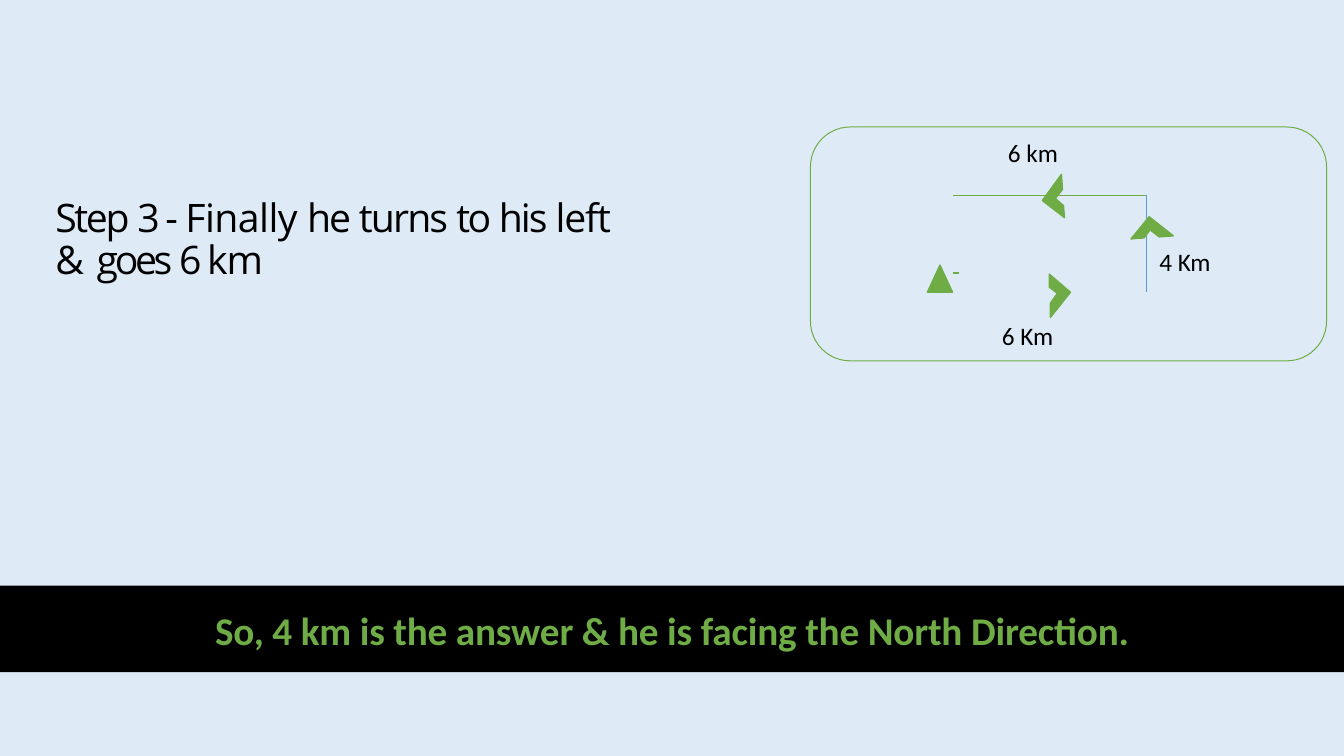
from dataclasses import dataclass

from lxml.etree import SubElement
from pptx import Presentation
from pptx.dml.color import RGBColor
from pptx.enum.shapes import MSO_CONNECTOR as Line, MSO_SHAPE as Preset
from pptx.enum.text import MSO_ANCHOR as Anchor, PP_ALIGN as Align
from pptx.oxml.ns import qn
from pptx.shapes.autoshape import Shape
from pptx.slide import Slide
from pptx.util import Inches, Pt

COLS, ROWS = 133.33, 75


@dataclass(frozen=True)
class Theme:
    sky: RGBColor = RGBColor(0xDE, 0xEB, 0xF7)
    black: RGBColor = RGBColor(0, 0, 0)
    green: RGBColor = RGBColor(0x6F, 0xAC, 0x46)
    blue: RGBColor = RGBColor(0x5B, 0x9B, 0xD5)
    step_font: str = "Open Sans"
    body_font: str = "Calibri"
    large: int = 28
    small: int = 18


THEME = Theme()


@dataclass(frozen=True)
class Box:
    col: float
    row: float
    cols: float
    rows: float


@dataclass(frozen=True)
class Word:
    text: str
    tracking: float = 0


@dataclass(frozen=True)
class Label:
    text: str
    box: Box
    align: Align = Align.LEFT


@dataclass(frozen=True)
class Path:
    start: tuple[float, float]
    end: tuple[float, float]
    color: RGBColor
    width: float = 0.48


@dataclass(frozen=True)
class Chevron:
    points: tuple[tuple[float, float], ...]


STEP = (
    Word("Step ", -1.7), Word("3 ", -3.2), Word("- ", -1.9),
    Word("Finally ", -0.4), Word("he ", -1.6), Word("turns ", -1.3),
    Word("to ", -1.9), Word("his ", -1.4), Word("left ", -0.9),
    Word("& ", 0.9), Word("goes ", -2.4), Word("6 ", -3.2), Word("km", -0.8),
)
ANSWER = (Word("So, 4 km is the answer & he is facing the North Direction.", -0.1),)
LABELS = (
    Label("6 km", Box(100, 13.5, 5.4, 3.3)),
    Label("4 Km", Box(94.4, 24.3, 25.7, 3.3), Align.RIGHT),
    Label("6 Km", Box(99.4, 31.7, 5.4, 3.3)),
)
PATHS = (
    Path((113.7, 29), (113.7, 19.3), THEME.blue),
    Path((113.7, 19.4), (94.5, 19.4), THEME.green),
    Path((94.5, 27.1), (95.1, 27.1), THEME.green, 1),
)
CHEVRONS = (
    Chevron(((104.1, 27.2), (104.1, 28.5), (104.9, 29.1), (104.2, 30.1),
             (104.2, 31.5), (106.2, 29))),
    Chevron(((105.3, 17.3), (103.4, 19.9), (105.6, 21.6), (105.5, 20.4),
             (104.7, 19.7), (105.4, 18.8))),
    Chevron(((114, 21.5), (112.2, 23.7), (113.5, 23.6), (114.1, 22.8),
             (115, 23.5), (116.4, 23.4))),
)


def unit(n: float) -> int:
    return Inches(n / 10)


def place(box: Box) -> tuple[int, ...]:
    return tuple(unit(n) for n in (box.col, box.row, box.cols, box.rows))


def paint(sp: Shape, fill: RGBColor | None, line: RGBColor | None,
          width: float = 1) -> None:
    sp.shadow.inherit = False
    if fill is None:
        sp.fill.background()
    else:
        sp.fill.solid()
        sp.fill.fore_color.rgb = fill
    if line is None:
        sp.line.fill.background()
    else:
        sp.line.color.rgb = line
        sp.line.width = Pt(width)


def write(sp: Shape, words: tuple[Word, ...], font: str, size: int,
          color: RGBColor, align: Align = Align.LEFT, bold: bool = False,
          anchor: Anchor = Anchor.TOP, spacing: float = 1) -> None:
    tf = sp.text_frame
    tf.word_wrap = True
    tf.vertical_anchor = anchor
    tf.margin_left = tf.margin_right = tf.margin_bottom = 0
    tf.margin_top = Inches(0.01)
    p = tf.paragraphs[0]
    p.alignment = align
    p.line_spacing = spacing
    p.font.name = font
    p.font.size = Pt(size)
    p.font.bold = bold
    p.font.color.rgb = color
    for word in words:
        r = p.add_run()
        r.text = word.text
        if word.tracking:
            r._r.get_or_add_rPr().set("spc", str(round(word.tracking * 100)))


def add_preset(s: Slide, kind: Preset, box: Box, fill: RGBColor | None,
               line: RGBColor | None, width: float = 1) -> Shape:
    sp = s.shapes.add_shape(kind, *place(box))
    paint(sp, fill, line, width)
    return sp


def add_label(s: Slide, label: Label) -> None:
    sp = s.shapes.add_textbox(*place(label.box))
    write(sp, (Word(label.text),), THEME.body_font, THEME.small, THEME.black,
          label.align)


def add_line(s: Slide, route: Path) -> None:
    cx = s.shapes.add_connector(
        Line.STRAIGHT, *(unit(n) for n in route.start + route.end))
    cx.line.color.rgb = route.color
    cx.line.width = Pt(route.width)
    SubElement(cx._element.spPr, qn("a:effectLst"))


def add_chevron(s: Slide, chevron: Chevron) -> None:
    first, *rest = [(unit(x), unit(y)) for x, y in chevron.points]
    builder = s.shapes.build_freeform(*first)
    builder.add_line_segments(rest, close=True)
    paint(builder.convert_to_shape(), THEME.green, THEME.green)


def main() -> None:
    prs = Presentation()
    prs.slide_width, prs.slide_height = unit(COLS), unit(ROWS)
    s = prs.slides.add_slide(prs.slide_layouts[6])
    s.background.fill.solid()
    s.background.fill.fore_color.rgb = THEME.sky

    step = s.shapes.add_textbox(*place(Box(5.5, 19.6, 57.7, 9.6)))
    write(step, STEP, THEME.step_font, THEME.large, THEME.black, spacing=0.9)

    frame = add_preset(s, Preset.ROUNDED_RECTANGLE, Box(80.4, 12.6, 51.2, 23.2),
                       None, THEME.green, 0.72)
    frame.adjustments[0] = 0.17
    for label in LABELS:
        add_label(s, label)
    for route in PATHS:
        add_line(s, route)
    add_preset(s, Preset.ISOSCELES_TRIANGLE, Box(92, 26.3, 2.5, 2.7),
               THEME.green, THEME.green)
    for chevron in CHEVRONS:
        add_chevron(s, chevron)

    bar = add_preset(s, Preset.RECTANGLE, Box(0, 58.1, COLS, 8.6),
                     THEME.black, None)
    write(bar, ANSWER, THEME.body_font, THEME.large, THEME.green, Align.CENTER,
          bold=True, anchor=Anchor.MIDDLE)
    prs.save("out.pptx")


if __name__ == "__main__":
    main()
